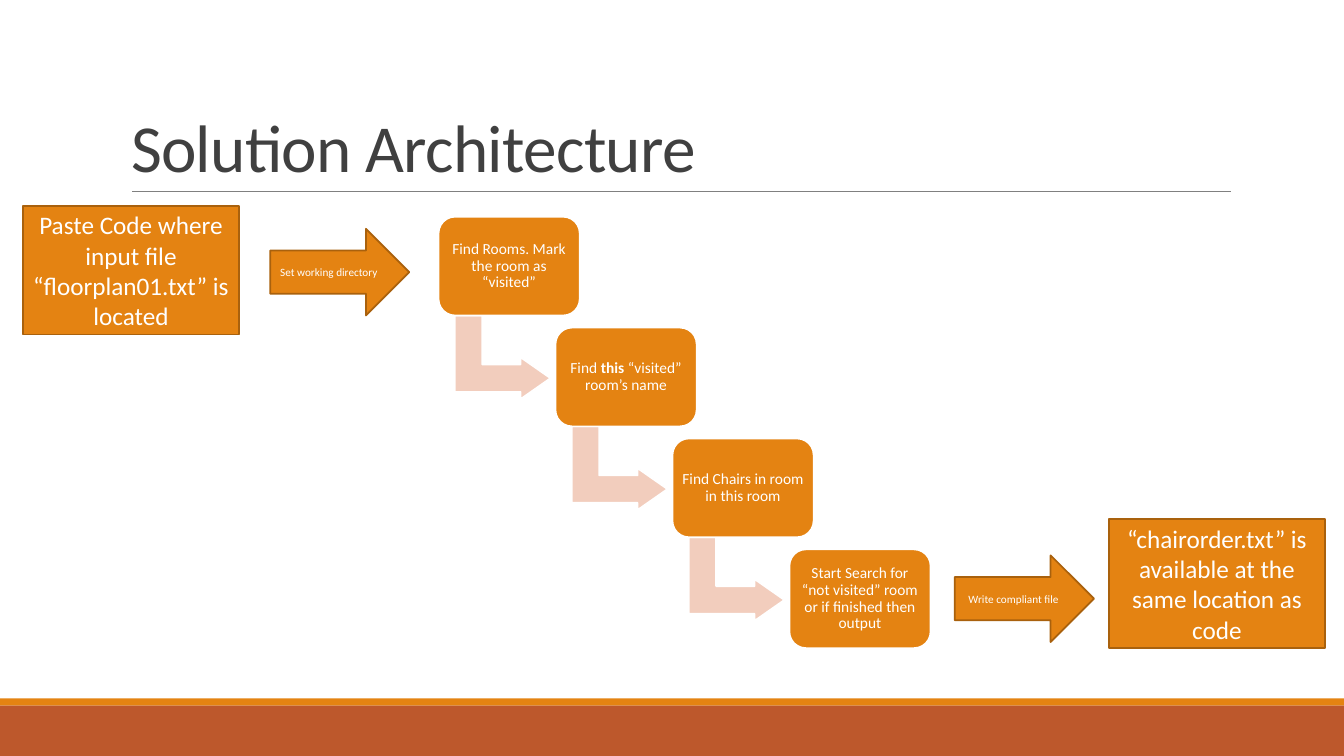
import pptx
import pptx.util
import pptx.dml.color
import pptx.enum.shapes
import pptx.enum.text
import lxml.etree

Inches, Pt = pptx.util.Inches, pptx.util.Pt
SHAPE = pptx.enum.shapes.MSO_SHAPE
ALIGN = pptx.enum.text.PP_ALIGN
ANCHOR = pptx.enum.text.MSO_ANCHOR

# Content: each text is a list of (words, bold) spans
TITLE = "Solution Architecture"
STEPS = [
    [("Find Rooms. Mark the room as “visited”", False)],
    [("Find ", False), ("this ", True), ("“visited” room’s name", False)],
    [("Find Chairs in room in this room", False)],
    [("Start Search for “not visited” room or if finished then output", False)],
]
ENDPOINTS = [  # words, left, top
    ("Paste Code where input file “floorplan01.txt” is located", 0.23, 2.04),
    ("“chairorder.txt” is available at the same location as code", 11, 5.15),
]
ACTIONS = [  # words, left, top
    ("Set working directory", 2.68, 2.27),
    ("Write compliant file", 9.47, 5.51),
]

THEME = {
    "font": "Calibri", "title": "404040", "rule": "808080",
    "orange": "E48312", "rust": "BD582C", "edge": "A9610D",
    "pale": "F2CDBD", "white": "FFFFFF",
    "title_size": 48, "endpoint_size": 18, "step_size": 11, "action_size": 8,
    "outline": 1.25, "rule_width": 0.5,
}

# Layout in inches
PAGE_WIDTH, PAGE_HEIGHT = 13.33, 7.5
TITLE_BOX = (1.2, 0.31, 11, 1.59)
RULE_LEFT, RULE_RIGHT, RULE_TOP = 1.31, 12.21, 1.9
BANDS = [("orange", 6.93, 0.07), ("rust", 7, 0.5)]
STEP_ORIGIN, STEP_PITCH, STEP_SIZE = (4.35, 2.15), (1.16, 1.1), (1.4, 0.98)
BEND_OFFSET, BEND_SIZE = (0.22, 0.92), (0.83, 0.95)
BEND_ADJUSTMENTS = (0.328, 0.25, 0.358)
ENDPOINT_SIZE, ACTION_SIZE = (2.14, 1.28), (1.38, 0.86)


def colour(name):
    """Return a theme colour by name."""
    return pptx.dml.color.RGBColor.from_string(THEME[name])


def add_box(page, kind, area, fill, edge=None):
    """Add a flat preset shape with an optional outline."""
    box = page.shapes.add_shape(kind, *map(Inches, area))
    box.shadow.inherit = False
    box.fill.solid()
    box.fill.fore_color.rgb = colour(fill)
    if edge:
        box.line.color.rgb = colour(edge)
        box.line.width = Pt(THEME["outline"])
    else:
        box.line.fill.background()
    return box


def write(box, spans, size, spacing=None, side_inset=0.1):
    """Write centred white spans into a shape."""
    frame = box.text_frame
    frame.word_wrap = True
    frame.vertical_anchor = ANCHOR.MIDDLE
    frame.margin_left = frame.margin_right = Inches(side_inset)
    frame.margin_top = frame.margin_bottom = Inches(0.05)
    para = frame.paragraphs[0]
    para.alignment = ALIGN.CENTER
    para.line_spacing = spacing
    for words, bold in spans:
        span = para.add_run()
        span.text = words
        span.font.bold = bold
        style(span.font, size, "white")


def style(font, size, name):
    """Set the typeface, size and colour of a font."""
    font.name = THEME["font"]
    font.size = Pt(THEME[size])
    font.color.rgb = colour(name)


def add_title(page):
    """Place the title and the rule beneath it."""
    title = page.shapes.title
    title.left, title.top, title.width, title.height = map(Inches, TITLE_BOX)
    frame = title.text_frame
    frame.text = TITLE
    frame.word_wrap = True
    frame.auto_size = pptx.enum.text.MSO_AUTO_SIZE.NONE
    frame.vertical_anchor = ANCHOR.BOTTOM
    para = frame.paragraphs[0]
    para.alignment = ALIGN.LEFT
    para.line_spacing = 0.85
    span = para.runs[0]
    style(span.font, "title_size", "title")
    span._r.get_or_add_rPr().set("spc", "-50")

    rule = page.shapes.add_connector(
        pptx.enum.shapes.MSO_CONNECTOR.STRAIGHT,
        *map(Inches, (RULE_LEFT, RULE_TOP, RULE_RIGHT, RULE_TOP)))
    rule.line.color.rgb = colour("rule")
    rule.line.width = Pt(THEME["rule_width"])
    lxml.etree.SubElement(rule._element.spPr, pptx.oxml.ns.qn("a:effectLst"))


def add_steps(page):
    """Build the staircase of steps, with a bent arrow after all but the last."""
    for index, spans in enumerate(STEPS):
        corner = [start + index * pitch for start, pitch in zip(STEP_ORIGIN, STEP_PITCH)]
        if index < len(STEPS) - 1:
            bend_corner = [start + shift for start, shift in zip(corner, BEND_OFFSET)]
            bend = add_box(page, SHAPE.BENT_UP_ARROW, (*bend_corner, *BEND_SIZE), "pale", "white")
            bend.rotation = 90
            for position, value in enumerate(BEND_ADJUSTMENTS):
                bend.adjustments[position] = value
        step = add_box(page, SHAPE.ROUNDED_RECTANGLE, (*corner, *STEP_SIZE), "orange", "white")
        write(step, spans, "step_size", spacing=0.9, side_inset=0.05)


def add_labelled(page, kind, items, size, text_size):
    """Add equal outlined shapes, each with its own words."""
    for words, left, top in items:
        box = add_box(page, kind, (left, top, *size), "orange", "edge")
        write(box, [(words, False)], text_size)


deck = pptx.Presentation()
deck.slide_width, deck.slide_height = Inches(PAGE_WIDTH), Inches(PAGE_HEIGHT)
page = deck.slides.add_slide(deck.slide_layouts.get_by_name("Title Only"))
add_title(page)
for fill, top, height in BANDS:
    add_box(page, SHAPE.RECTANGLE, (0, top, PAGE_WIDTH, height), fill)
add_steps(page)
add_labelled(page, SHAPE.RECTANGLE, ENDPOINTS, ENDPOINT_SIZE, "endpoint_size")
add_labelled(page, SHAPE.RIGHT_ARROW, ACTIONS, ACTION_SIZE, "action_size")
deck.save("out.pptx")
